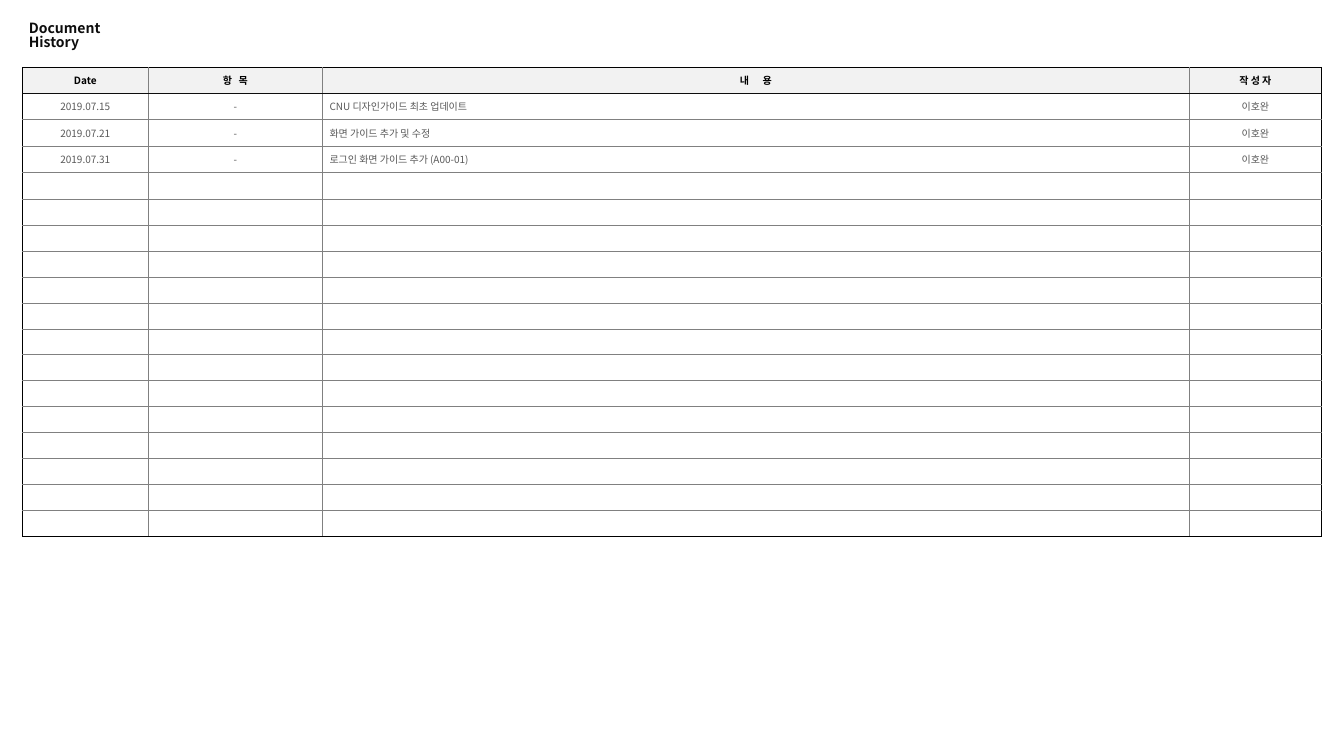
from dataclasses import dataclass

from lxml import etree
from pptx import Presentation
from pptx.dml.color import RGBColor
from pptx.enum.text import MSO_ANCHOR, MSO_AUTO_SIZE, PP_ALIGN
from pptx.oxml.ns import qn
from pptx.util import Inches, Pt

LEFT, CENTER = PP_ALIGN.LEFT, PP_ALIGN.CENTER
TOP, MIDDLE = MSO_ANCHOR.TOP, MSO_ANCHOR.MIDDLE
GROW = MSO_AUTO_SIZE.SHAPE_TO_FIT_TEXT


@dataclass(frozen=True)
class Theme:
    """Colours, font and type sizes of the slide."""
    font: str = "Noto Sans CJK KR"
    title: str = "0D0D0D"
    head: str = "000000"
    body: str = "595959"
    head_fill: str = "F2F2F2"
    frame: str = "000000"
    head_rule: str = "0D0D0D"
    grid: str = "808080"
    line: float = 0.5
    title_size: int = 14
    cell_size: int = 10


class Deck:
    """Hold the theme and current slide; lengths are percent of the slide."""

    def __init__(self, theme, width, height):
        self.theme = theme
        self.prs = Presentation()
        self.prs.slide_width, self.prs.slide_height = Inches(width), Inches(height)
        self.s = self.prs.slides.add_slide(self.prs.slide_layouts[5])

    def x(self, share):
        """Turn a percentage of the width into a length."""
        return round(self.prs.slide_width * share / 100)

    def y(self, share):
        """Turn a percentage of the height into a length."""
        return round(self.prs.slide_height * share / 100)

    def run(self, p, text, size, color, bold):
        """Add one styled run to a paragraph."""
        r = p.add_run()
        r.text = text
        r.font.name, r.font.size, r.font.bold = self.theme.font, Pt(size), bold
        r.font.color.rgb = RGBColor.from_string(color)
        ea = etree.Element(qn("a:ea"), typeface=self.theme.font)
        r.font._element.find(qn("a:latin")).addnext(ea)

    def title(self, text, left, top, width, height):
        """Place and fill the title placeholder."""
        sp = self.s.shapes.title
        sp.left, sp.top = self.x(left), self.y(top)
        sp.width, sp.height = self.x(width), self.y(height)
        tf = sp.text_frame
        tf.word_wrap, tf.auto_size, tf.vertical_anchor = True, GROW, TOP
        p = tf.paragraphs[0]
        p.alignment, p.line_spacing = LEFT, 0.85
        self.run(p, text, self.theme.title_size, self.theme.title, True)

    def border(self, cell, side, color):
        """Draw one edge of a cell."""
        ln = etree.SubElement(cell._tc.get_or_add_tcPr(), qn(f"a:ln{side}"),
                              w=str(Pt(self.theme.line)))
        fill = etree.SubElement(ln, qn("a:solidFill"))
        etree.SubElement(fill, qn("a:srgbClr"), val=color)

    def cell(self, cell, text, align, is_head):
        """Fill and write one cell."""
        t = self.theme
        cell.vertical_anchor = MIDDLE
        if is_head:
            cell.fill.solid()
            cell.fill.fore_color.rgb = RGBColor.from_string(t.head_fill)
        else:
            cell.fill.background()
        p = cell.text_frame.paragraphs[0]
        p.alignment = align
        if text:
            self.run(p, text, t.cell_size, t.head if is_head else t.body, is_head)
        else:
            etree.SubElement(p._p, qn("a:endParaRPr"), sz=str(t.cell_size * 100))

    def table(self, rows, left, top, widths, heights, aligns):
        """Add a framed table whose first row is the header."""
        t = self.theme
        n_rows, n_cols = len(heights), len(widths)
        table = self.s.shapes.add_table(
            n_rows, n_cols, self.x(left), self.y(top),
            self.x(sum(widths)), self.y(sum(heights))).table
        table.first_row = table.horz_banding = False
        for column, width in zip(table.columns, widths):
            column.width = self.x(width)
        h_rules = [t.frame, t.head_rule, *[t.grid] * (n_rows - 2), t.frame]
        v_rules = [t.frame, *[t.grid] * (n_cols - 1), t.frame]
        for i, height in enumerate(heights):
            table.rows[i].height = self.y(height)
            texts = rows[i] if i < len(rows) else [""] * n_cols
            for j, text in enumerate(texts):
                cell = table.cell(i, j)
                edges = {"L": v_rules[j], "R": v_rules[j + 1],
                         "T": h_rules[i], "B": h_rules[i + 1]}
                for side, color in edges.items():
                    self.border(cell, side, color)
                self.cell(cell, text, aligns[j] if i else CENTER, i == 0)


def main():
    """Build the document history slide."""
    deck = Deck(Theme(), 18.67, 10.5)
    deck.title("Document History", 1.61, 2.38, 10.28, 3.24)
    history = [
        ("Date", "항   목", "내      용", "작 성 자"),
        ("2019.07.15", "-", "CNU 디자인가이드 최초 업데이트", "이호완"),
        ("2019.07.21", "-", "화면 가이드 추가 및 수정", "이호완"),
        ("2019.07.31", "-", "로그인 화면 가이드 추가 (A00-01)", "이호완"),
    ]
    deck.table(history, 1.66, 8.95,
               widths=[9.37, 12.96, 64.49, 9.86],
               heights=[3.43] * 2 + [3.52] * 3 + [3.43] * 13,
               aligns=[CENTER, CENTER, LEFT, CENTER])
    deck.prs.save("out.pptx")


if __name__ == "__main__":
    main()
